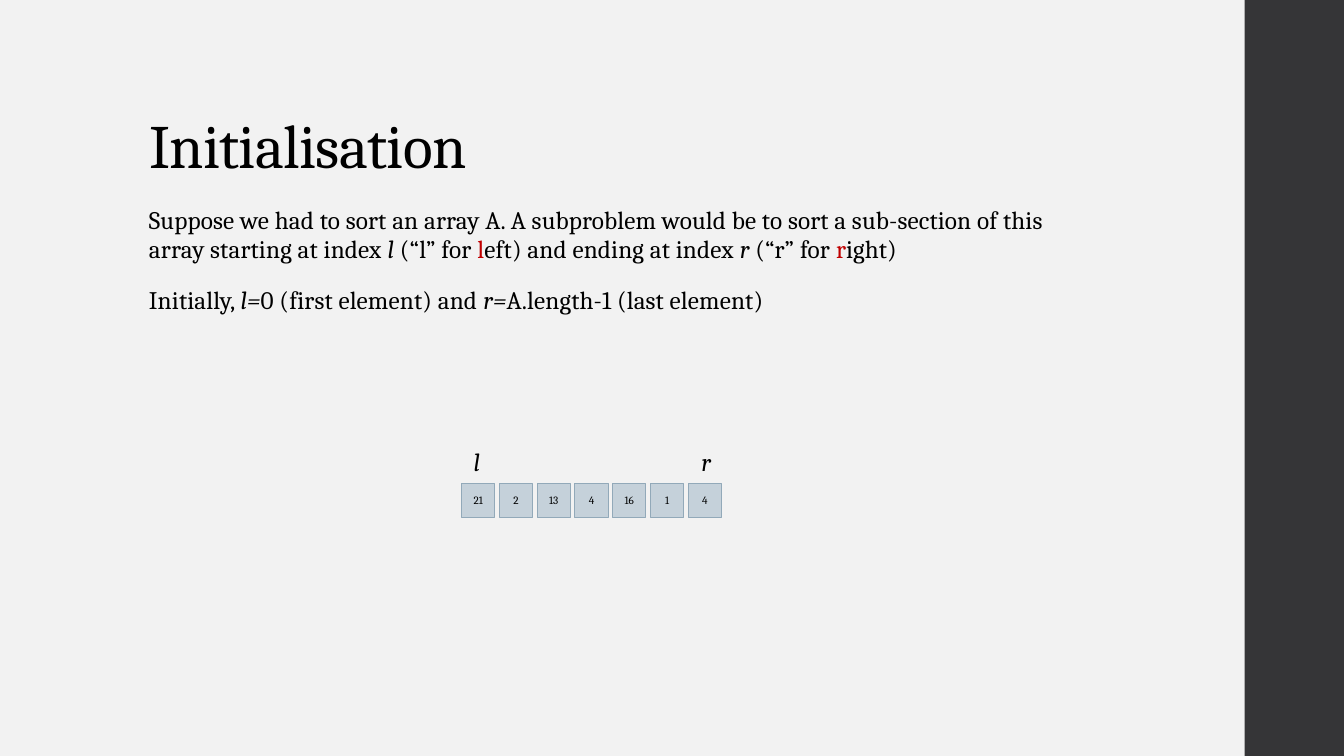
from pptx import Presentation
from pptx.dml.color import RGBColor
from pptx.enum.shapes import MSO_SHAPE as Shape
from pptx.enum.text import MSO_ANCHOR as Anchor, PP_ALIGN as Align
from pptx.util import Emu, Pt

PX = 4572  # 200 px to the inch
FONT = "Cambria"
BLACK, RED = "000000", "C00000"
PAPER, SIDEBAR = "F2F2F2", "353537"
CELL_FILL, CELL_LINE = "C5D1DA", "92A9B9"

# Each run: text, italic, colour
SUBPROBLEM = [
    ("Suppose we had to sort an array A. A subproblem would be to sort "
     "a sub-section of this array starting at index ", False, BLACK),
    ("l", True, BLACK),
    (" (“l” for ", False, BLACK),
    ("l", False, RED),
    ("eft) and ending at index ", False, BLACK),
    ("r", True, BLACK),
    (" (“r” for ", False, BLACK),
    ("r", False, RED),
    ("ight)", False, BLACK),
]
INITIAL_VALUES = [
    ("Initially, ", False, BLACK),
    ("l=", True, BLACK),
    ("0 (first element) and", False, BLACK),
    (" r=", True, BLACK),
    ("A.length-1 (last element)", False, BLACK),
]
ARRAY = [21, 2, 13, 4, 16, 1, 4]
CELL_LEFT, CELL_TOP, CELL_SIZE, CELL_PITCH = 916, 960, 66, 75


def px(*lengths):
    return [Emu(length * PX) for length in lengths]


def color(hex_string):
    return RGBColor.from_string(hex_string)


def style_run(run, size, ink=BLACK, italic=False, spacing=0):
    run.font.name = FONT
    run.font.size = Pt(size)
    run.font.italic = italic
    run.font.color.rgb = color(ink)
    if spacing:
        run._r.get_or_add_rPr().set("spc", str(spacing))


def add_title(slide, text):
    title = slide.shapes.title
    title.left, title.top, title.width, title.height = px(276, 80, 2120, 290)
    frame = title.text_frame
    frame.text = text
    frame.vertical_anchor = Anchor.BOTTOM
    heading = frame.paragraphs[0]
    heading.alignment = Align.LEFT
    heading.line_spacing = 0.9
    style_run(heading.runs[0], 44, spacing=-50)


def add_body(slide, paragraphs):
    frame = slide.shapes.add_textbox(*px(276, 400, 1880, 952)).text_frame
    frame.word_wrap = True
    for index, pieces in enumerate(paragraphs):
        paragraph = frame.add_paragraph() if index else frame.paragraphs[0]
        paragraph.line_spacing = 0.95
        paragraph.space_before = Pt(14 if index else 0)
        paragraph.space_after = Pt(2)
        for text, italic, ink in pieces:
            run = paragraph.add_run()
            run.text = text
            style_run(run, 18, ink, italic, spacing=10)


def add_box(slide, left, top, width, height, fill, line=None):
    box = slide.shapes.add_shape(Shape.RECTANGLE, *px(left, top, width, height))
    box.shadow.inherit = False
    box.fill.solid()
    box.fill.fore_color.rgb = color(fill)
    if line:
        box.line.color.rgb = color(line)
        box.line.width = Pt(0.75)
    else:
        box.line.fill.background()
    return box


def add_cell(slide, index, value):
    left = CELL_LEFT + index * CELL_PITCH
    cell = add_box(slide, left, CELL_TOP, CELL_SIZE, CELL_SIZE, CELL_FILL, CELL_LINE)
    frame = cell.text_frame
    frame.margin_left = frame.margin_right = 0
    frame.vertical_anchor = Anchor.MIDDLE
    frame.text = str(value)
    frame.paragraphs[0].alignment = Align.CENTER
    style_run(frame.paragraphs[0].runs[0], 8)


def add_index_label(slide, text, left, width):
    frame = slide.shapes.add_textbox(*px(left, 876, width, 80)).text_frame
    frame.text = text
    style_run(frame.paragraphs[0].runs[0], 18, italic=True)


def main():
    deck = Presentation()
    deck.slide_width, deck.slide_height = px(2667, 1500)
    slide = deck.slides.add_slide(deck.slide_layouts[5])
    slide.background.fill.solid()
    slide.background.fill.fore_color.rgb = color(PAPER)

    # Side band and text
    add_box(slide, 2470, 0, 197, 1500, SIDEBAR)
    add_title(slide, "Initialisation")
    add_body(slide, [SUBPROBLEM, INITIAL_VALUES])

    # Array with its left and right indices
    for index, value in enumerate(ARRAY):
        add_cell(slide, index, value)
    add_index_label(slide, "l", 920, 58)
    add_index_label(slide, "r", 1372, 54)

    deck.save("out.pptx")


if __name__ == "__main__":
    main()
